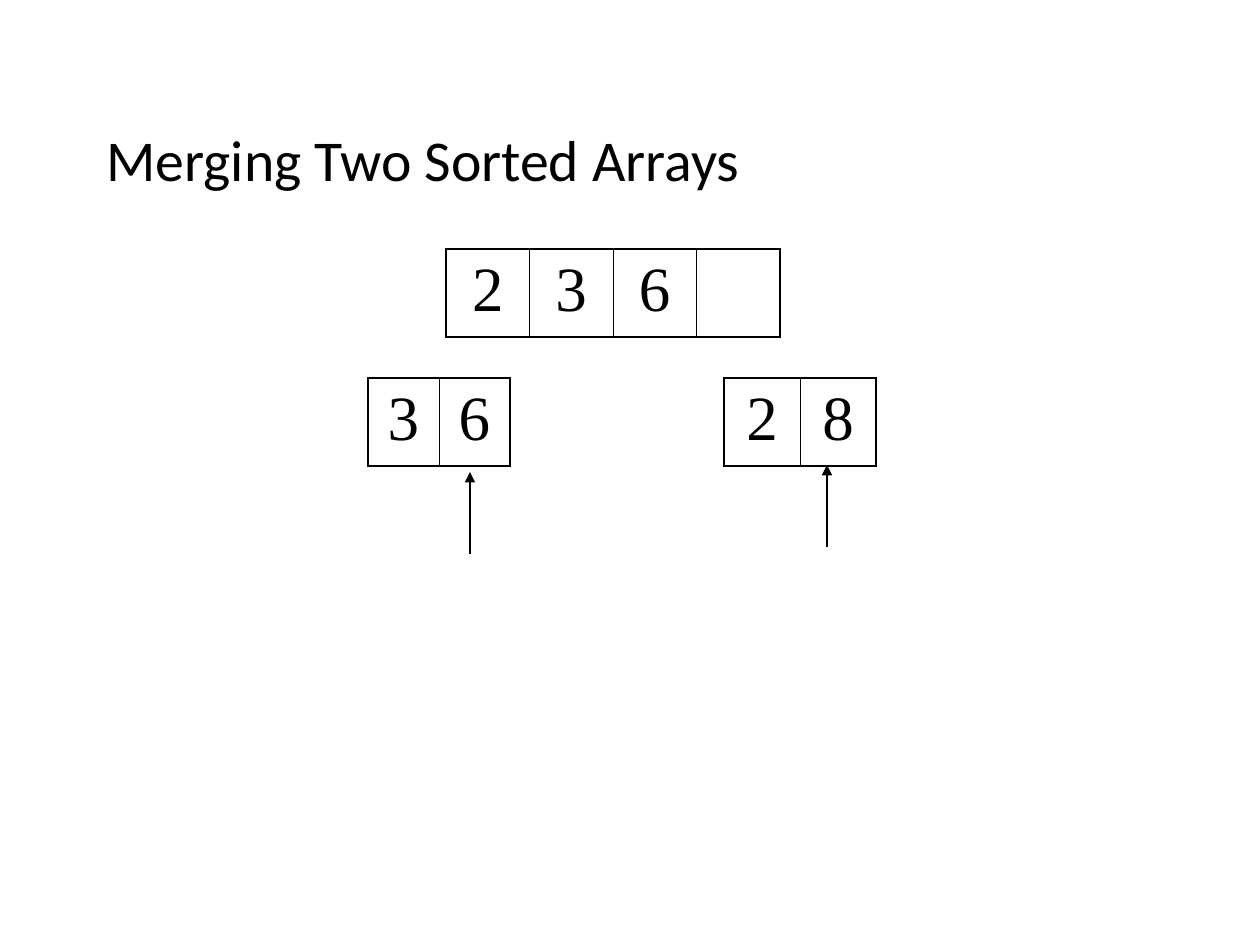
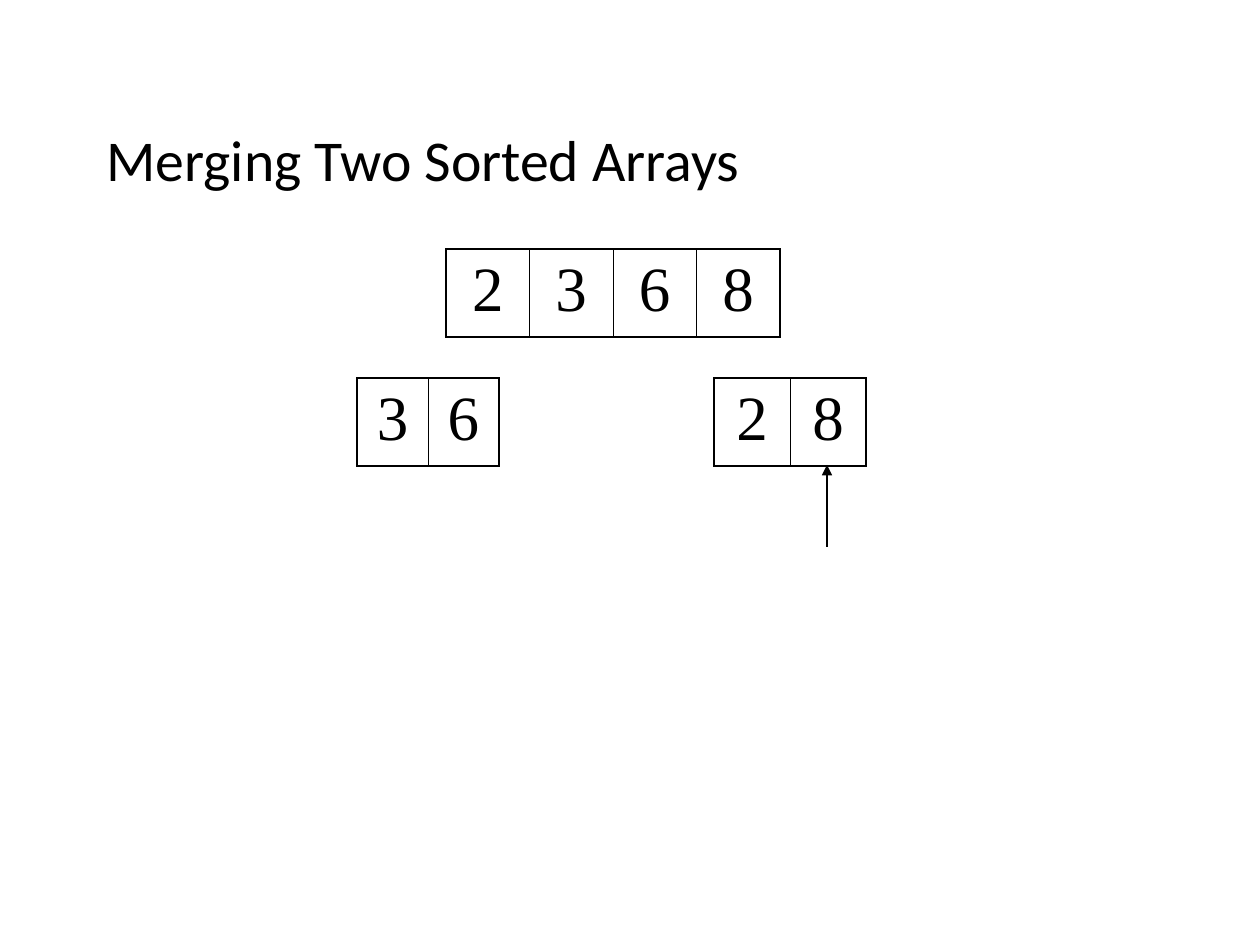
from lxml import etree
from pptx import Presentation
from pptx.dml.color import RGBColor
from pptx.enum.shapes import MSO_CONNECTOR
from pptx.enum.text import MSO_ANCHOR, PP_ALIGN
from pptx.oxml.ns import qn
from pptx.util import Pt

STRAIGHT = MSO_CONNECTOR.STRAIGHT
MIDDLE = MSO_ANCHOR.MIDDLE
CENTER = PP_ALIGN.CENTER
LEFT = PP_ALIGN.LEFT

SCALE = 914400 / 126
COLORS = {"ink": "000000"}
TITLE = {
    "font": {"name": "Calibri", "size": Pt(33)},
    "para": {"alignment": LEFT, "line_spacing": 0.9},
}
DIGIT = {
    "font": {"name": "Times New Roman", "size": Pt(36)},
    "para": {"alignment": CENTER, "space_before": Pt(9)},
}
THICK, THIN = 1.08, 0.45
MERGED_LEFT, MERGED_TOP, MERGED_WIDTH = 446, 249, 334
HALF_TOP, ROW_HEIGHT = 378, 88
ARROW_LENGTH = 82

SLIDES = [
    {
        "merged": ["2", "3", "6", ""],
        "halves": [(368, 142, ["3", "6"]), (724, 152, ["2", "8"])],
        "arrows": [(470, 472), (827, 465)],
    },
    {
        "merged": ["2", "3", "6", "8"],
        "halves": [(357, 142, ["3", "6"]), (714, 152, ["2", "8"])],
        "arrows": [(827, 465)],
    },
]


def px(*values):
    return [round(value * SCALE) for value in values]


def ink():
    return RGBColor.from_string(COLORS["ink"])


def apply(target, values):
    for name, value in values.items():
        setattr(target, name, value)


def write(frame, text, style):
    para = frame.paragraphs[0]
    apply(para, style["para"])
    if text:
        run = para.add_run()
        run.text = text
        apply(run.font, style["font"])
        run.font.color.rgb = ink()


def add_title(slide, text):
    box = slide.shapes.add_textbox(*px(94, 84, 1071, 158))
    apply(box.text_frame, {"word_wrap": True, "vertical_anchor": MIDDLE})
    write(box.text_frame, text, TITLE)


def add_border(cell, side, width):
    props = cell._tc.get_or_add_tcPr()
    line = etree.SubElement(props, qn("a:ln" + side), w=str(Pt(width)))
    fill = etree.SubElement(line, qn("a:solidFill"))
    etree.SubElement(fill, qn("a:srgbClr"), val=COLORS["ink"])


def add_array(slide, left, top, width, items):
    count = len(items)
    frame = slide.shapes.add_table(1, count, *px(left, top, width, ROW_HEIGHT))
    table = frame.table
    apply(table, {"first_row": False, "horz_banding": False})
    for index, item in enumerate(items):
        table.columns[index].width = px(width / count)[0]
        cell = table.cell(0, index)
        widths = {
            "L": THICK if index == 0 else THIN,
            "R": THICK if index == count - 1 else THIN,
            "T": THICK,
            "B": THICK,
        }
        for side, weight in widths.items():
            add_border(cell, side, weight)
        cell.fill.background()
        write(cell.text_frame, item, DIGIT)


def add_arrow(slide, x, tip):
    arrow = slide.shapes.add_connector(
        STRAIGHT, *px(x, tip + ARROW_LENGTH, x, tip))
    arrow.line.width = Pt(1)
    arrow.line.color.rgb = ink()
    etree.SubElement(arrow.line._get_or_add_ln(), qn("a:tailEnd"), type="triangle")
    etree.SubElement(arrow._element.spPr, qn("a:effectLst"))


def main():
    deck = Presentation()
    deck.slide_width, deck.slide_height = px(1260, 945)
    for step in SLIDES:
        slide = deck.slides.add_slide(deck.slide_layouts[6])
        add_title(slide, "Merging Two Sorted Arrays")
        add_array(slide, MERGED_LEFT, MERGED_TOP, MERGED_WIDTH, step["merged"])
        for left, width, items in step["halves"]:
            add_array(slide, left, HALF_TOP, width, items)
        for x, tip in step["arrows"]:
            add_arrow(slide, x, tip)
    deck.save("out.pptx")


if __name__ == "__main__":
    main()
